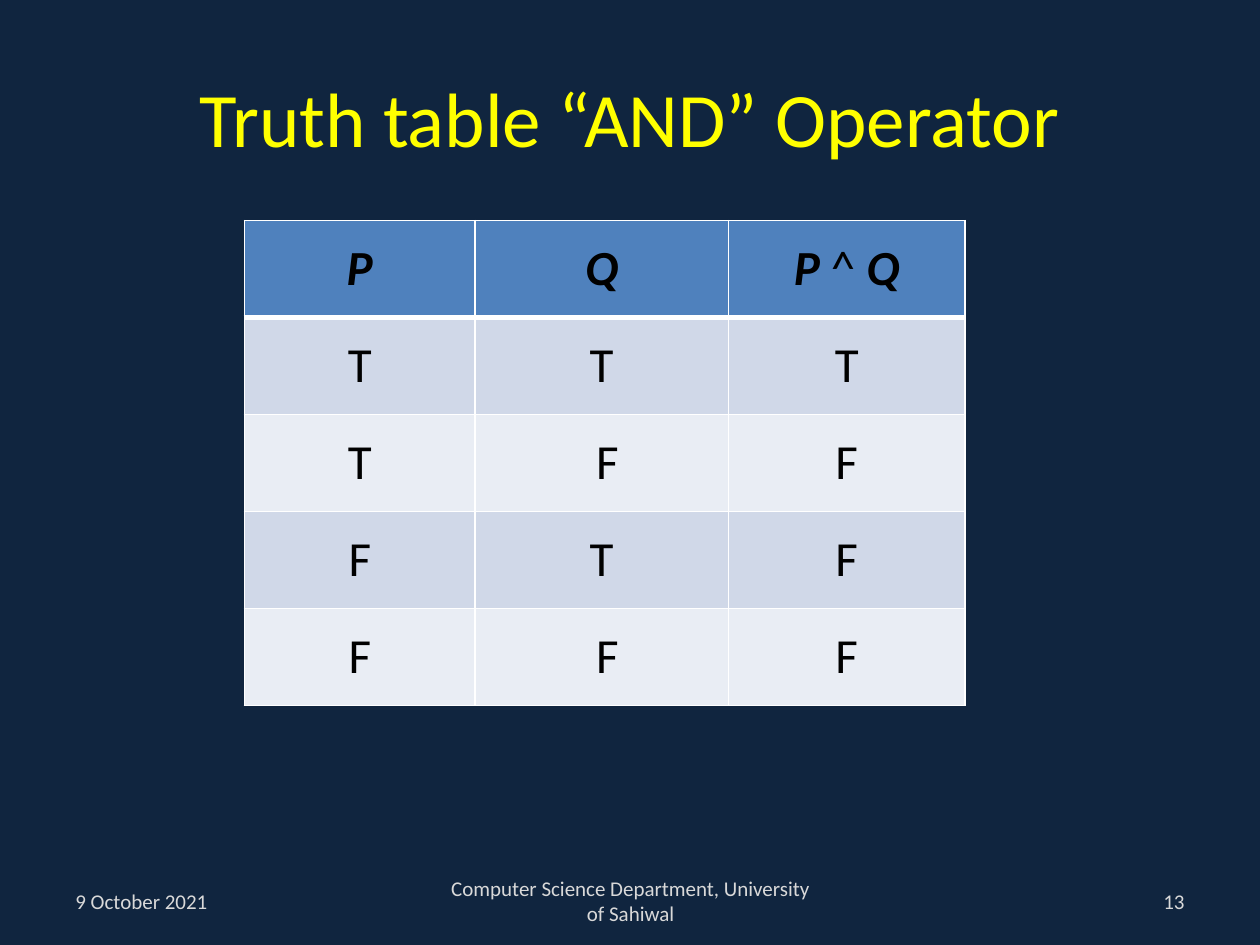
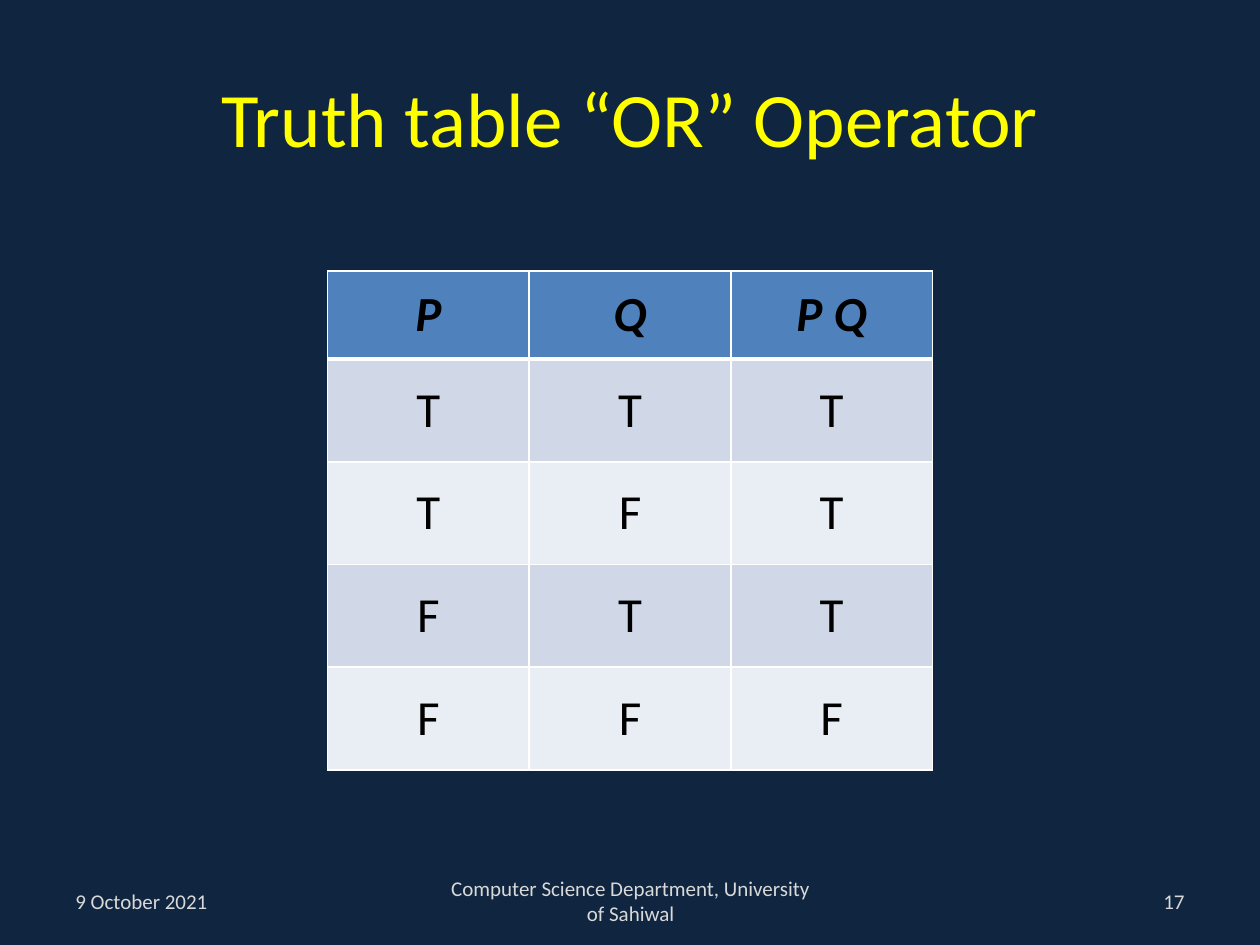
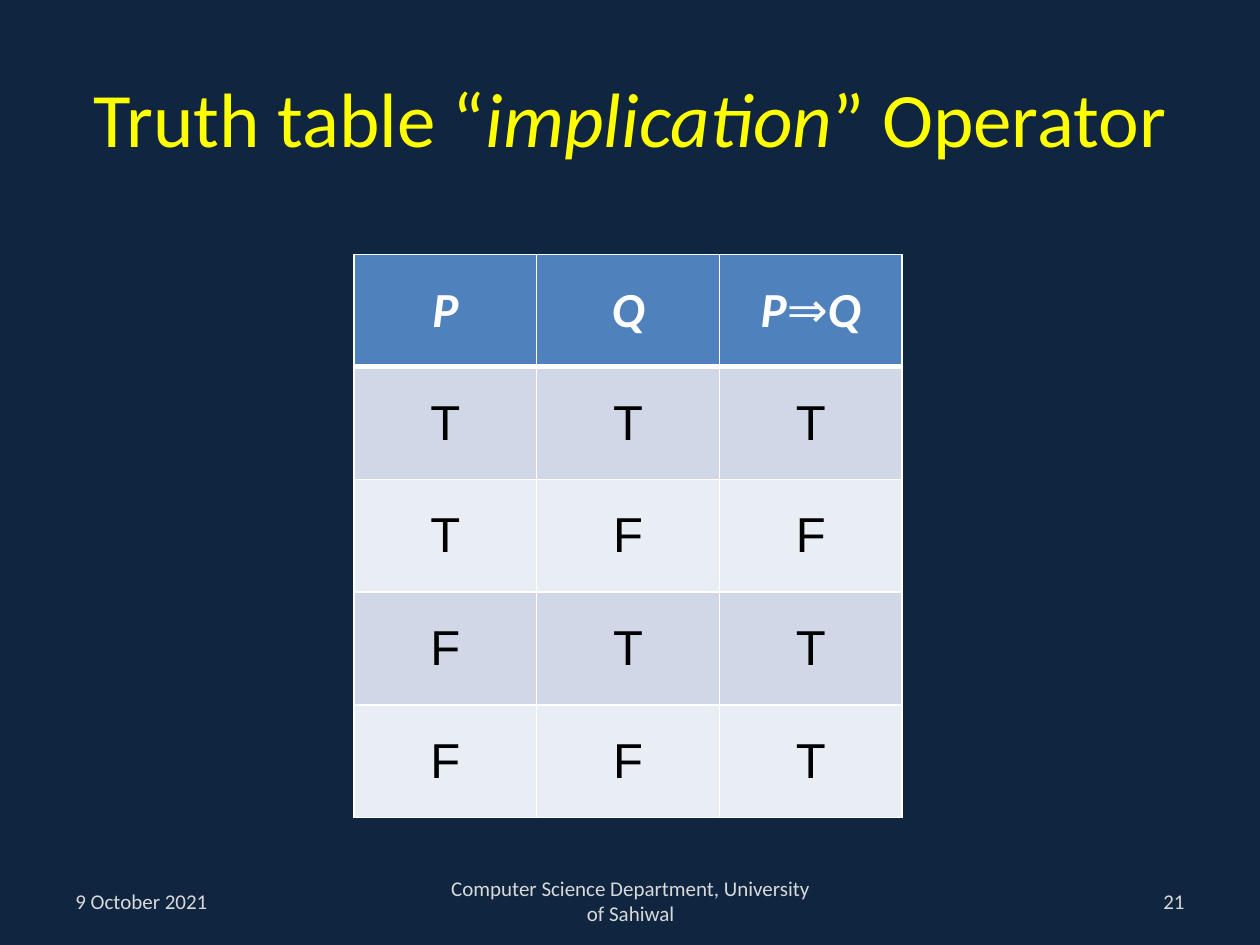
from itertools import product

from lxml.etree import SubElement
from pptx import Presentation
from pptx.dml.color import RGBColor
from pptx.enum.text import MSO_ANCHOR, MSO_AUTO_SIZE, PP_ALIGN
from pptx.oxml.ns import qn
from pptx.util import Emu, Pt

EMU_PER_PX = 9144  # 100 px to the inch
TITLE_ONLY = 5

NAVY = "10253F"
YELLOW = "FFFF00"
GREY = "D9D9D9"
WHITE = "FFFFFF"
BLACK = "000000"
HEADER_BLUE = "4F81BD"
BAND_FILLS = ("E9EDF4", "D0D8E8")

DATE = "9 October 2021"
DEPARTMENT = "Computer Science Department, University of Sahiwal"


def px(length):
    return Emu(round(length * EMU_PER_PX))


def color(hex_code):
    return RGBColor.from_string(hex_code)


def format_font(font, size, hex_code, name="Calibri", bold=False, italic=False):
    font.size = Pt(size)
    font.color.rgb = color(hex_code)
    font.name = name
    font.bold = bold
    font.italic = italic


def set_borders(cell, top, bottom):
    """Draw white borders: 1 pt at the sides, the given points above and below."""
    properties = cell._tc.get_or_add_tcPr()
    widths = {"a:lnL": 1, "a:lnR": 1, "a:lnT": top, "a:lnB": bottom}
    for position, (tag, width) in enumerate(widths.items()):
        line = SubElement(properties, qn(tag), w=str(Pt(width)))
        fill = SubElement(line, qn("a:solidFill"))
        SubElement(fill, qn("a:srgbClr"), val=WHITE)
        properties.insert(position, line)


class TruthTableDeck:
    def __init__(self):
        self.deck = Presentation()
        self.deck.slide_width, self.deck.slide_height = px(1000), px(750)
        background = self.deck.slide_master.background.fill
        background.solid()
        background.fore_color.rgb = color(NAVY)
        self.page = None

    def add_page(self, title, number):
        self.page = self.deck.slides.add_slide(self.deck.slide_layouts[TITLE_ONLY])
        self.title(title)
        self.footer(50, 233, DATE, PP_ALIGN.LEFT)
        self.footer(342, 317, DEPARTMENT, PP_ALIGN.CENTER)
        self.footer(717, 233, str(number), PP_ALIGN.RIGHT)

    def title(self, spans):
        """Fill the title from (text, italic) pairs."""
        box = self.page.shapes.title
        box.left, box.top, box.width, box.height = map(px, (50, 30, 900, 125))
        frame = box.text_frame
        frame.auto_size = MSO_AUTO_SIZE.NONE
        frame.vertical_anchor = MSO_ANCHOR.MIDDLE
        para = frame.paragraphs[0]
        para.alignment = PP_ALIGN.CENTER
        for text, italic in spans:
            span = para.add_run()
            span.text = text
            format_font(span.font, 44, YELLOW, italic=italic)

    def footer(self, left, width, text, alignment):
        box = self.page.shapes.add_textbox(px(left), px(695), px(width), px(40))
        frame = box.text_frame
        frame.word_wrap = True
        frame.vertical_anchor = MSO_ANCHOR.MIDDLE
        frame.text = text
        para = frame.paragraphs[0]
        para.alignment = alignment
        format_font(para.runs[0].font, 12, GREY)

    def cell(self, cell, spans, fill, top, bottom, hex_code, name="Calibri"):
        """Fill a table cell from (text, emphasised) pairs."""
        cell.fill.solid()
        cell.fill.fore_color.rgb = color(fill)
        set_borders(cell, top, bottom)
        cell.vertical_anchor = MSO_ANCHOR.MIDDLE
        para = cell.text_frame.paragraphs[0]
        para.alignment = PP_ALIGN.CENTER
        for text, emphasised in spans:
            span = para.add_run()
            span.text = text
            format_font(span.font, 28, hex_code, name, emphasised, emphasised)

    def truth_table(self, left, top, columns, header_height, row_height, result_header,
                    operator, header_color=BLACK, body_font="Calibri", false_q_inset=10):
        """Tabulate operator(p, q); false_q_inset is the left margin of each F under Q."""
        height = header_height + 4 * row_height
        table = self.page.shapes.add_table(
            5, 3, px(left), px(top), px(sum(columns)), px(height)).table
        for column, width in zip(table.columns, columns):
            column.width = px(width)
        for index, row in enumerate(table.rows):
            row.height = px(row_height if index else header_height)

        headers = ([("P", True)], [("Q", True)], result_header)
        for column, spans in enumerate(headers):
            self.cell(table.cell(0, column), spans, HEADER_BLUE, 1, 3, header_color)
        for row, (p, q) in enumerate(product((True, False), repeat=2), start=1):
            for column, value in enumerate((p, q, operator(p, q))):
                self.cell(table.cell(row, column), [("T" if value else "F", False)],
                          BAND_FILLS[row % 2], 3 if row == 1 else 1, 1, BLACK, body_font)
            if not q:
                table.cell(row, 1).margin_left = px(false_q_inset)


def main():
    slides = TruthTableDeck()

    slides.add_page([("Truth table “AND” Operator", False)], 13)
    slides.truth_table(194, 175, (183, 201, 188), 77, 77,
                       [("P", True), (" ^ ", False), ("Q", True)],
                       lambda p, q: p and q, false_q_inset=19)

    slides.add_page([("Truth table “OR” Operator", False)], 17)
    slides.truth_table(260, 215, (160, 160, 160), 70, 81.5,
                       [("P Q", True)], lambda p, q: p or q)

    slides.add_page([("Truth table “", False), ("implication", True),
                     ("” Operator", False)], 21)
    slides.truth_table(281, 202, (145, 145, 145), 89, 89.5,
                       [("P", True), ("⇒", False), ("Q", True)],
                       lambda p, q: not p or q, header_color=WHITE, body_font="Arial")

    slides.deck.save("out.pptx")


if __name__ == "__main__":
    main()
